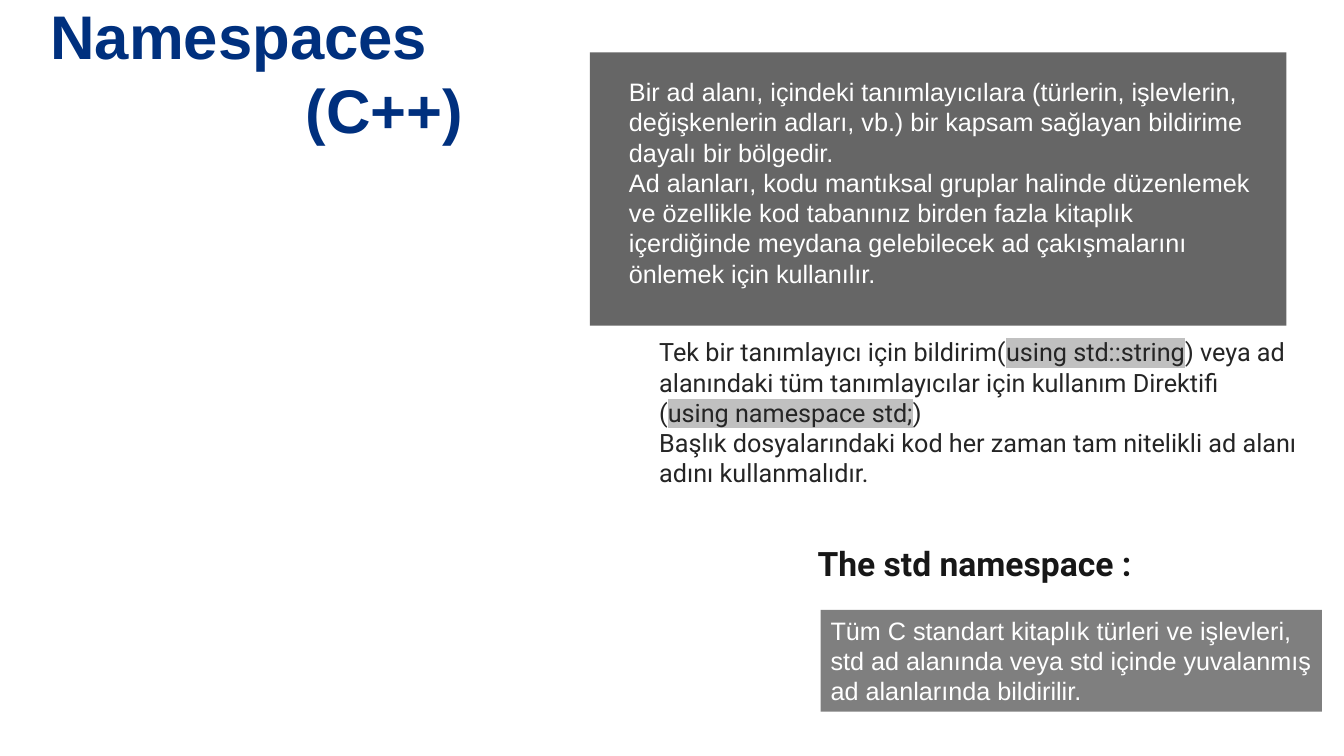
from lxml import etree
from pptx import Presentation
from pptx.dml.color import RGBColor
from pptx.enum.shapes import MSO_SHAPE
from pptx.enum.text import MSO_ANCHOR, MSO_AUTO_SIZE, PP_ALIGN
from pptx.oxml.ns import qn
from pptx.util import Inches, Pt

RECTANGLE = MSO_SHAPE.RECTANGLE
TOP, MIDDLE = MSO_ANCHOR.TOP, MSO_ANCHOR.MIDDLE
NO_AUTOFIT = MSO_AUTO_SIZE.NONE
LEFT = PP_ALIGN.LEFT

BLACK = RGBColor(0x00, 0x00, 0x00)
WHITE = RGBColor(0xFF, 0xFF, 0xFF)
NAVY = RGBColor(0x00, 0x30, 0x7E)
CHARCOAL = RGBColor(0x25, 0x25, 0x25)
INK = RGBColor(0x17, 0x17, 0x17)
SILVER = RGBColor(0xC0, 0xC0, 0xC0)

TITLE_LINES = [["Namespaces"], ["(C++)"]]
DEFINITION = [
    ["Bir ad alanı, içindeki tanımlayıcılara (türlerin, işlevlerin, değişkenlerin "
     "adları, vb.) bir kapsam sağlayan bildirime dayalı bir bölgedir."],
    ["Ad alanları, kodu mantıksal gruplar halinde düzenlemek ve özellikle kod "
     "tabanınız birden fazla kitaplık içerdiğinde meydana gelebilecek ad "
     "çakışmalarını önlemek için kullanılır."],
]
USING_CODE = ("using std::string", "using namespace std;")
USING_RULES = [
    ["Tek bir tanımlayıcı için bildirim(", USING_CODE[0],
     ") veya ad alanındaki tüm tanımlayıcılar için kullanım Direktifi"],
    ["(", USING_CODE[1], ")"],
    ["Başlık dosyalarındaki kod her zaman tam nitelikli ad alanı adını kullanmalıdır."],
]
STD_HEADING = [["The std namespace :"]]
STD_NOTE = [
    ["Tüm C standart kitaplık türleri ve işlevleri, std ad alanında veya std "
     "içinde yuvalanmış ad alanlarında bildirilir."],
]


def highlight(run):
    properties = run._r.get_or_add_rPr()
    mark = etree.SubElement(properties, qn("a:highlight"))
    etree.SubElement(mark, qn("a:srgbClr"), val=str(SILVER))


def write_text(shape, lines, font_name, size, color, bold=False, anchor=TOP, wrap=True):
    frame = shape.text_frame
    frame.word_wrap = wrap
    frame.auto_size = NO_AUTOFIT
    frame.vertical_anchor = anchor
    for index, pieces in enumerate(lines):
        paragraph = frame.add_paragraph() if index else frame.paragraphs[0]
        paragraph.alignment = LEFT
        paragraph.line_spacing = 1.0
        paragraph.space_before = Pt(0)
        font = paragraph.font
        font.name, font.size, font.bold = font_name, Pt(size), bold
        font.color.rgb = color
        for piece in pieces:
            run = paragraph.add_run()
            run.text = piece
            if piece in USING_CODE:
                highlight(run)


def add_panel(slide, left, top, width, height, opacity):
    panel = slide.shapes.add_shape(
        RECTANGLE, Inches(left), Inches(top), Inches(width), Inches(height))
    panel.shadow.inherit = False
    panel.fill.solid()
    panel.fill.fore_color.rgb = BLACK
    panel.line.fill.background()
    color = panel._element.spPr.find(qn("a:solidFill"))[0]
    etree.SubElement(color, qn("a:alpha"), val=str(opacity * 1000))
    return panel


def add_text(slide, left, top, width, height, lines, *style, **options):
    box = slide.shapes.add_textbox(
        Inches(left), Inches(top), Inches(width), Inches(height))
    write_text(box, lines, *style, **options)


def add_title(slide, left, top, width, height):
    title = slide.shapes.title
    title.left, title.top = Inches(left), Inches(top)
    title.width, title.height = Inches(width), Inches(height)
    write_text(title, TITLE_LINES, "Arial", 44, NAVY, bold=True, anchor=MIDDLE)
    second_line = title.text_frame.paragraphs[1]
    second_line._p.get_or_add_pPr().set("marL", str(Inches(2.53)))


def add_definition(slide, left, top, width, height):
    add_panel(slide, left, top, width, height, 60)
    add_text(slide, left + 0.29, top + 0.19, width - 0.44, height - 0.49,
             DEFINITION, "Arial", 18, WHITE)


def add_std_section(slide, left, top, width, height):
    add_text(slide, left, top, 3.39, 0.5, STD_HEADING,
             "Roboto", 24, INK, bold=True, wrap=False)
    note = add_panel(slide, left + 0.13, top + 0.71, width - 0.13, height - 0.71, 50)
    write_text(note, STD_NOTE, "Arial", 18, WHITE)


def main():
    presentation = Presentation()
    presentation.slide_width = Inches(13.33)
    presentation.slide_height = Inches(7.5)
    slide = presentation.slides.add_slide(
        presentation.slide_layouts.get_by_name("Title Only"))
    add_title(slide, 0.4, -0.08, 4.47, 1.58)
    add_definition(slide, 5.85, 0.52, 6.91, 2.71)
    add_text(slide, 6.44, 3.29, 6.67, 1.62, USING_RULES, "Roboto", 18, CHARCOAL)
    add_std_section(slide, 8.01, 5.34, 5.1, 1.72)
    presentation.save("out.pptx")


if __name__ == "__main__":
    main()
